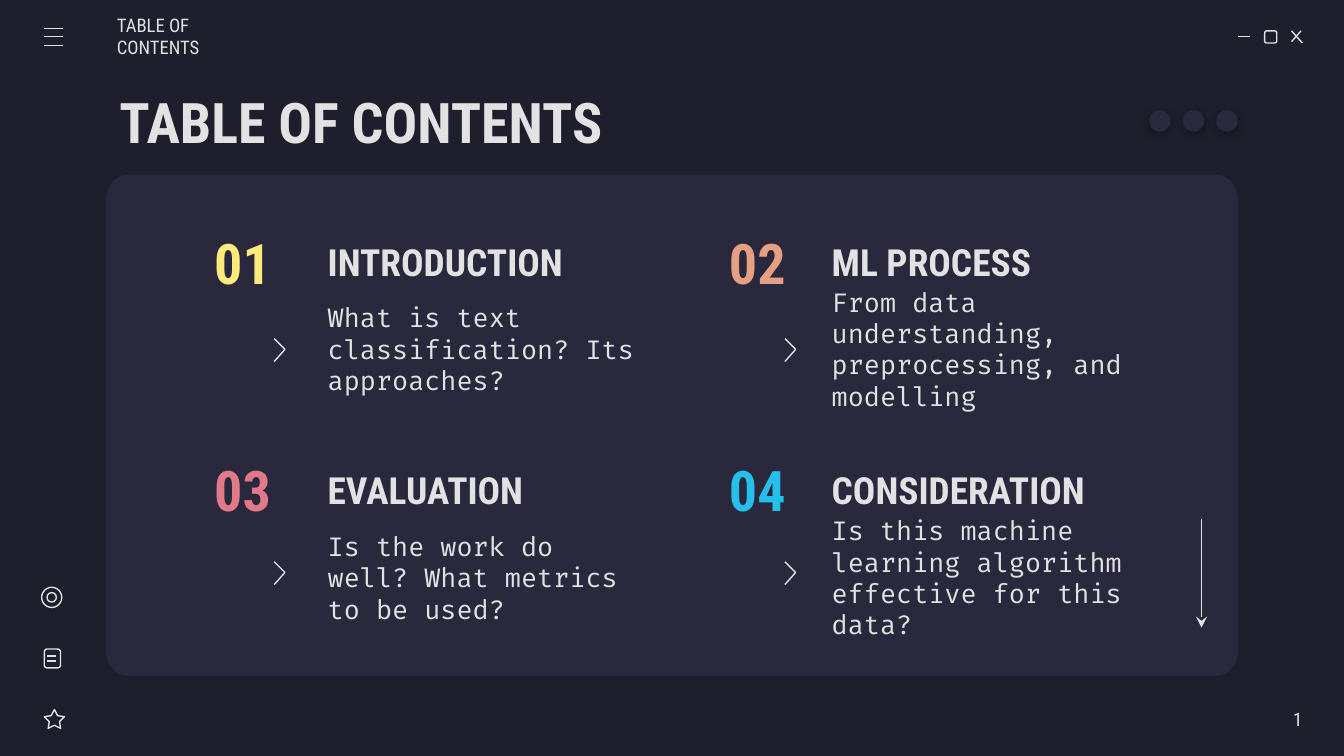
from lxml.etree import SubElement
from pptx import Presentation
from pptx.dml.color import RGBColor
from pptx.enum.shapes import MSO_CONNECTOR as CONNECTOR, MSO_SHAPE as SHAPE
from pptx.enum.text import MSO_ANCHOR as ANCHOR, PP_ALIGN as ALIGN
from pptx.oxml import parse_xml
from pptx.oxml.ns import nsdecls, qn
from pptx.util import Inches, Pt

COLORS = {
    "background": "1E1E2C", "panel": "29283D", "light": "E2E2E2",
    "yellow": "FFEA7D", "orange": "E5A083", "pink": "E07A88", "blue": "24BFEB",
}
HEADING, BODY = "Roboto Condensed", "Fira Code"
LINE_WIDTH = Pt(0.75)


def rgb(name):
    return RGBColor.from_string(COLORS[name])


def add_text(text, left, top, width, height, size, font=HEADING, color="light",
             bold=False, align=ALIGN.LEFT, inset_left=0.1, inset_right=0.1):
    box = page.shapes.add_textbox(Inches(left), Inches(top), Inches(width), Inches(height))
    frame = box.text_frame
    frame.word_wrap = True
    frame.vertical_anchor = ANCHOR.MIDDLE
    frame.margin_top = frame.margin_bottom = Inches(0.1)
    frame.margin_left, frame.margin_right = Inches(inset_left), Inches(inset_right)
    para = frame.paragraphs[0]
    para.text = text
    para.alignment = align
    para.font.name, para.font.size, para.font.bold = font, Pt(size), bold
    para.font.color.rgb = rgb(color)


deck = Presentation()
deck.slide_width = Inches(10)
deck.slide_height = deck.slide_width * 9 // 16
page = deck.slides.add_slide(deck.slide_layouts[6])
page.background.fill.solid()
page.background.fill.fore_color.rgb = rgb("background")

# Content panel and the three dots above it
panel = page.shapes.add_shape(
    SHAPE.ROUNDED_RECTANGLE, Inches(0.79), Inches(1.3), Inches(8.42), Inches(3.73))
panel.adjustments[0] = 0.047
dots = [page.shapes.add_shape(SHAPE.OVAL, Inches(8.55 + 0.25 * i), Inches(0.82),
                              Inches(0.16), Inches(0.16)) for i in range(3)]
for shape in [panel, *dots]:
    shape.shadow.inherit = False
    shape.fill.solid()
    shape.fill.fore_color.rgb = rgb("panel")
    shape.line.fill.background()
for dot in dots:
    dot._element.spPr.find(qn("a:effectLst")).append(parse_xml(
        f'<a:outerShdw {nsdecls("a")} blurRad="{Pt(4.5)}" dist="{Pt(1.5)}" dir="5400000" '
        'algn="bl" rotWithShape="0"><a:srgbClr val="000000"><a:alpha val="30000"/>'
        '</a:srgbClr></a:outerShdw>'))

# Slide headings and number
add_text("TABLE OF CONTENTS", 0.79, 0.59, 8.43, 0.63, 30, bold=True)
add_text("TABLE OF CONTENTS", 0.87, 0.12, 1.17, 0.3, 10, inset_left=0)
add_text("1", 8.52, 5.2, 1.17, 0.3, 10, align=ALIGN.RIGHT, inset_right=0)

# Four topics in a two by two grid
topics = [
    ("INTRODUCTION", "What is text classification? Its approaches?", "yellow"),
    ("ML PROCESS", "From data understanding, preprocessing, and modelling", "orange"),
    ("EVALUATION", "Is the work do well? What metrics to be used?", "pink"),
    ("CONSIDERATION", "Is this machine learning algorithm effective for this data?", "blue"),
]
columns = [(1.35, 2.04, 2.34, 2.56), (5.18, 5.84, 6.09, 2.96)]
rows = [(1.67, 2.22, 2.52), (3.36, 3.92, 4.18)]
outlines = []
for index, (heading, summary, color) in enumerate(topics):
    number_left, chevron_left, text_left, summary_width = columns[index % 2]
    heading_top, summary_top, chevron_top = rows[index // 2]
    add_text(f"{index + 1:02}", number_left, heading_top, 0.91, 0.56, 30,
             color=color, bold=True, align=ALIGN.CENTER)
    add_text(heading, text_left, heading_top, 2.56, 0.56, 20, bold=True)
    add_text(summary, text_left, summary_top, summary_width, 0.75, 14, font=BODY)
    chevron = page.shapes.build_freeform(Inches(chevron_left), Inches(chevron_top))
    chevron.add_line_segments(
        [(Inches(chevron_left + 0.08), Inches(chevron_top + 0.08)),
         (Inches(chevron_left), Inches(chevron_top + 0.17))], close=False)
    outlines.append(chevron.convert_to_shape())

# Outlined icons: window button, star, note and target
icons = [
    (SHAPE.ROUNDED_RECTANGLE, 9.41, 0.23, 0.09, 0.09, [0.167]),
    (SHAPE.STAR_5_POINT, 0.33, 5.28, 0.15, 0.14, [0.254, 1.051, 1.106]),
    (SHAPE.ROUNDED_RECTANGLE, 0.33, 4.83, 0.12, 0.14, [0.167]),
    (SHAPE.OVAL, 0.31, 4.37, 0.15, 0.15, []),
    (SHAPE.OVAL, 0.35, 4.41, 0.07, 0.07, []),
]
for kind, left, top, width, height, adjustments in icons:
    icon = page.shapes.add_shape(
        kind, Inches(left), Inches(top), Inches(width), Inches(height))
    for position, value in enumerate(adjustments):
        icon.adjustments[position] = value
    outlines.append(icon)
for shape in outlines:
    shape.shadow.inherit = False
    shape.fill.background()
    shape.line.color.rgb = rgb("light")
    shape.line.width = LINE_WIDTH

# Straight strokes; the scroll arrow comes last
strokes = [(0.33, y, 0.47, y) for y in (0.21, 0.27, 0.34)]
strokes += [(0.35, y, 0.42, y) for y in (4.88, 4.92)]
strokes += [
    (9.21, 0.27, 9.3, 0.27),
    (9.61, 0.23, 9.69, 0.32),
    (9.68, 0.23, 9.61, 0.31),
    (8.94, 3.86, 8.94, 4.67),
]
for ends in strokes:
    stroke = page.shapes.add_connector(CONNECTOR.STRAIGHT, *map(Inches, ends))
    stroke.line.color.rgb = rgb("light")
    stroke.line.width = LINE_WIDTH
    SubElement(stroke._element.spPr, qn("a:effectLst"))
scroll_arrow = stroke
SubElement(scroll_arrow.line._get_or_add_ln(), qn("a:tailEnd"),
           type="stealth", w="med", len="med")

deck.save("out.pptx")
